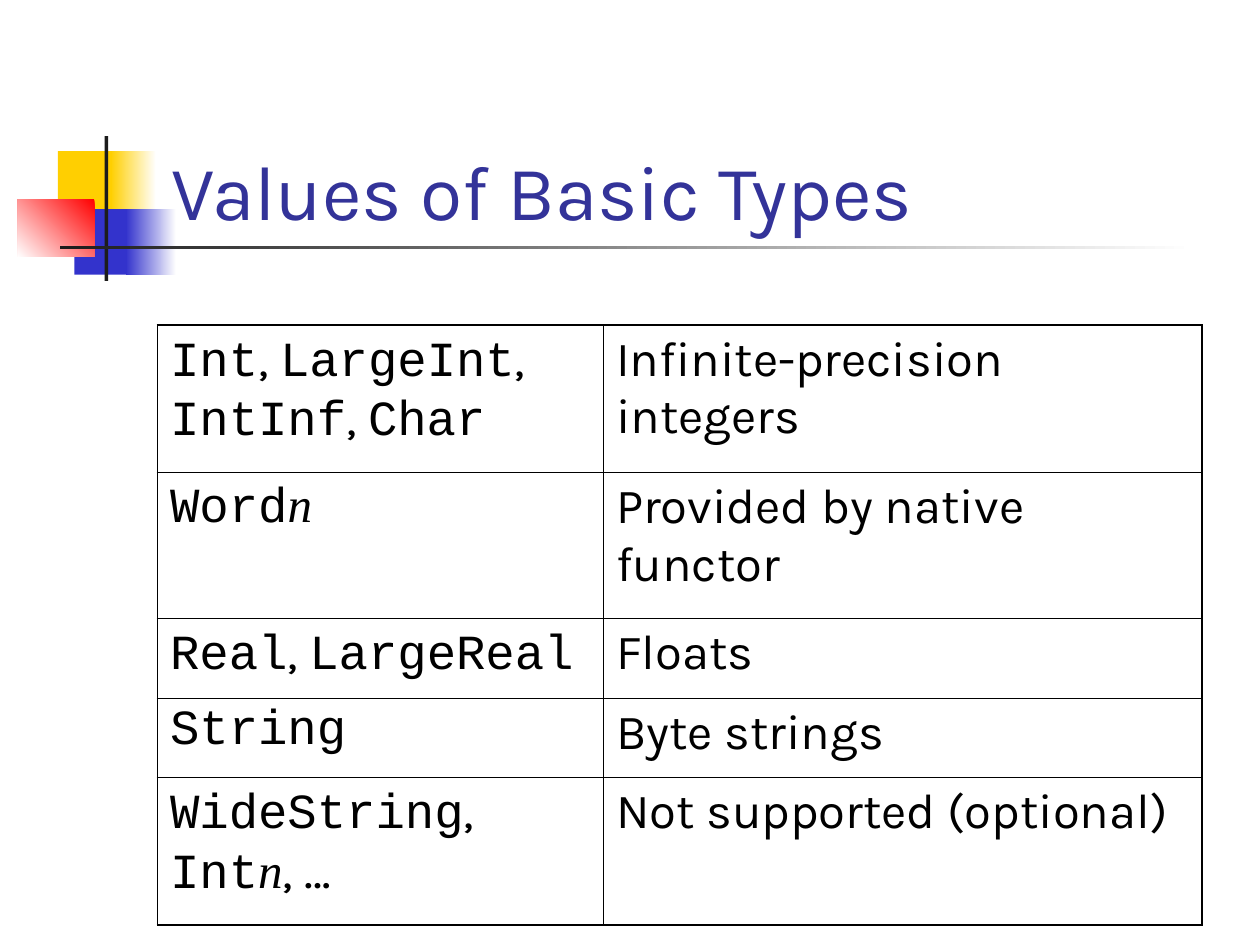
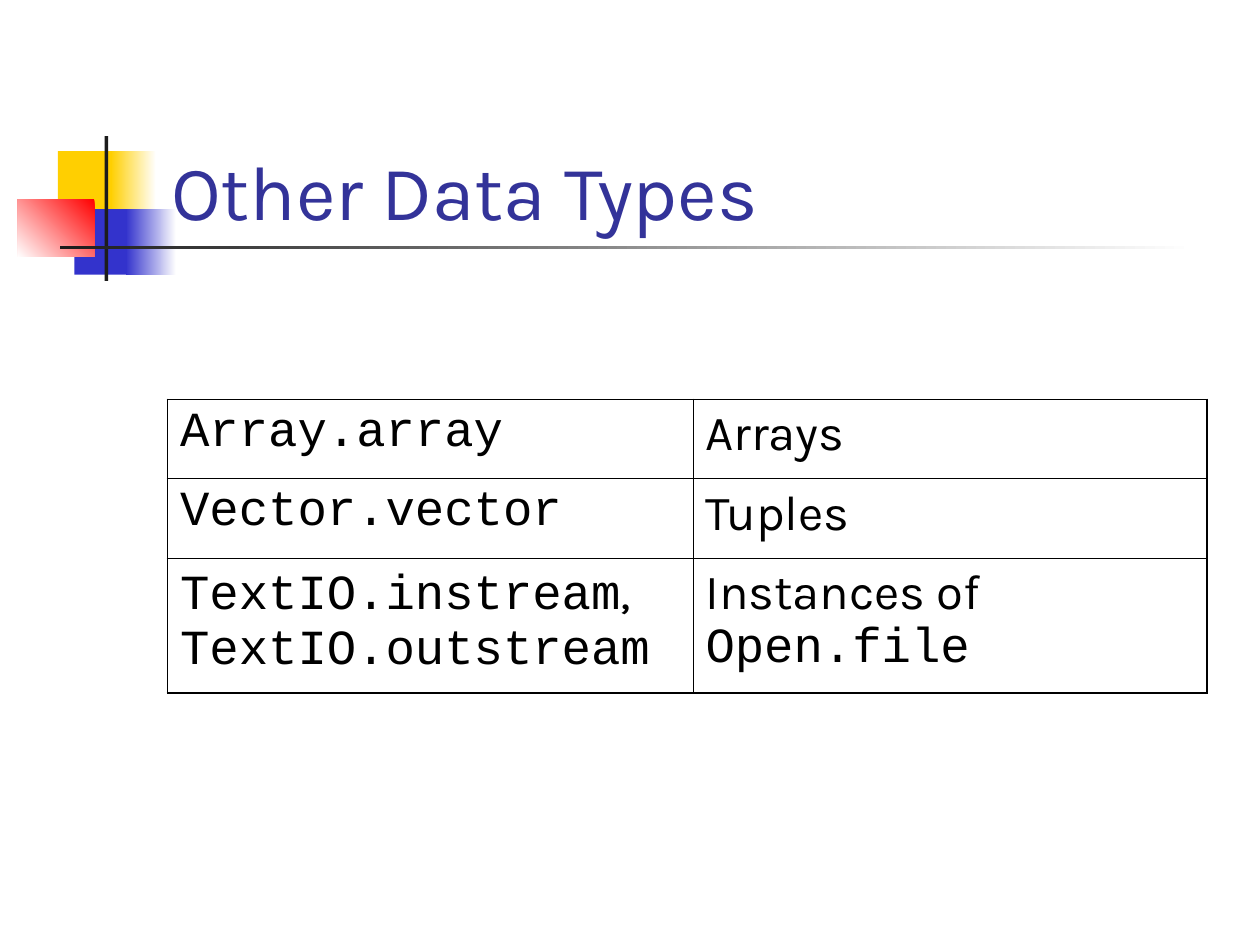
"""Build two slides about the representation of basic and other data types."""
from dataclasses import dataclass
from typing import NamedTuple

from lxml import etree
from pptx import Presentation
from pptx.dml.color import RGBColor
from pptx.enum.shapes import MSO_SHAPE
from pptx.enum.text import MSO_ANCHOR
from pptx.oxml.ns import qn
from pptx.util import Inches, Pt

RECTANGLE = MSO_SHAPE.RECTANGLE
BOTTOM = MSO_ANCHOR.BOTTOM

WHITE = "FFFFFF"
BLACK = "000000"
YELLOW = "FFCF01"
BLUE = "3333CC"
RED = "FF0000"
CHARCOAL = "1C1C1C"
TITLE_COLOUR = "333399"

BODY_FONT = "Karla"
CODE_FONT = "Courier New"
VARIABLE_FONT = "Times New Roman"
TITLE_SIZE = 44
CELL_SIZE = 28
OUTER_LINE = 1.08
INNER_LINE = 0.45


class Band(NamedTuple):
    """A rectangle of the title ornament, fading when end is given."""

    left: float
    top: float
    width: float
    height: float
    start: str
    end: str = ""
    angle: int = 180


class Piece(NamedTuple):
    """A stretch of text in one font."""

    text: str
    font: str = BODY_FONT
    italic: bool = False


@dataclass
class TypeSlide:
    """A title and a table of types with their representations."""

    title: str
    left: float
    top: float
    columns: list[float]
    heights: list[float]
    rows: list[tuple[list[Piece], list[Piece]]]


def code(text: str) -> Piece:
    """Return text set as program code."""
    return Piece(text, CODE_FONT)


COMMA = Piece(", ")
SIZE_VARIABLE = Piece("n", VARIABLE_FONT, True)

ORNAMENT = [
    Band(0.46, 1.2, 0.48, 0.52, YELLOW),
    Band(0.88, 1.2, 0.36, 0.52, WHITE, YELLOW),
    Band(0.59, 1.66, 0.46, 0.52, BLUE),
    Band(1, 1.66, 0.4, 0.52, WHITE, BLUE),
    Band(0.14, 1.58, 0.61, 0.46, RED, WHITE, 225),
    Band(0.83, 1.08, 0.03, 1.15, CHARCOAL),
    Band(0.48, 1.95, 9, 0.03, WHITE, CHARCOAL),
]

SLIDES = [
    TypeSlide(
        "Values of Basic Types", 1.25, 2.58,
        [3.54, 4.75], [1.17, 1.16, 0.63, 0.63, 1.17],
        [
            ([code("Int"), COMMA, code("LargeInt"), COMMA,
              code("IntInf"), COMMA, code("Char")],
             [Piece("Infinite-precision integers")]),
            ([code("Word"), SIZE_VARIABLE],
             [Piece("Provided by native functor")]),
            ([code("Real"), COMMA, code("LargeReal")], [Piece("Floats")]),
            ([code("String")], [Piece("Byte strings")]),
            ([code("WideString"), Piece(","), code(" Int"), SIZE_VARIABLE,
              Piece(", …")],
             [Piece("Not supported (optional)")]),
        ],
    ),
    TypeSlide(
        "Other Data Types", 1.33, 3.17,
        [4.17, 4.08], [0.63, 0.63, 1.07],
        [
            ([code("Array.array")], [Piece("Arrays")]),
            ([code("Vector.vector")], [Piece("Tuples")]),
            ([code("TextIO.instream"), Piece(","), code(" TextIO.outstream")],
             [Piece("Instances of "), code("Open.file")]),
        ],
    ),
]


def colour(value: str) -> RGBColor:
    """Turn a hex string into a colour."""
    return RGBColor.from_string(value)


def add_piece(paragraph, piece: Piece, size: float, ink: str) -> None:
    """Append one formatted run to a paragraph."""
    run = paragraph.add_run()
    run.text = piece.text
    run.font.name = piece.font
    run.font.size = Pt(size)
    run.font.italic = piece.italic
    run.font.color.rgb = colour(ink)


def draw_band(slide, band: Band) -> None:
    """Draw one rectangle of the ornament."""
    box = slide.shapes.add_shape(
        RECTANGLE, Inches(band.left), Inches(band.top),
        Inches(band.width), Inches(band.height))
    box.shadow.inherit = False
    box.line.fill.background()
    if not band.end:
        box.fill.solid()
        box.fill.fore_color.rgb = colour(band.start)
        return
    box.fill.gradient()
    box.fill.gradient_angle = band.angle
    for stop, shade in zip(box.fill.gradient_stops, (band.start, band.end)):
        stop.color.rgb = colour(shade)


def draw_title(slide, title: str) -> None:
    """Write the slide title above the fading rule."""
    frame = slide.shapes.add_textbox(
        Inches(1.26), Inches(0.67), Inches(8.52), Inches(1.25)).text_frame
    frame.word_wrap = True
    frame.vertical_anchor = BOTTOM
    add_piece(frame.paragraphs[0], Piece(title), TITLE_SIZE, TITLE_COLOUR)


def set_borders(cell, outer_sides: dict[str, bool]) -> None:
    """Line the four sides of a cell, heavier on the table's edge."""
    properties = cell._tc.get_or_add_tcPr()
    for position, (side, outer) in enumerate(outer_sides.items()):
        weight = OUTER_LINE if outer else INNER_LINE
        line = etree.Element(qn(f"a:ln{side}"), w=str(int(Pt(weight))))
        fill = etree.SubElement(line, qn("a:solidFill"))
        etree.SubElement(fill, qn("a:srgbClr"), val=BLACK)
        properties.insert(position, line)


def draw_table(slide, content: TypeSlide) -> None:
    """Draw the table of types."""
    last_row = len(content.rows) - 1
    last_column = len(content.columns) - 1
    table = slide.shapes.add_table(
        last_row + 1, last_column + 1,
        Inches(content.left), Inches(content.top),
        Inches(sum(content.columns)), Inches(sum(content.heights))).table
    table.first_row = False
    table.horz_banding = False
    for column, width in zip(table.columns, content.columns):
        column.width = Inches(width)
    for row, height in zip(table.rows, content.heights):
        row.height = Inches(height)
    for r, row_pieces in enumerate(content.rows):
        for c, pieces in enumerate(row_pieces):
            cell = table.cell(r, c)
            cell.fill.background()
            set_borders(cell, {"L": c == 0, "R": c == last_column,
                               "T": r == 0, "B": r == last_row})
            paragraph = cell.text_frame.paragraphs[0]
            paragraph.space_before = Pt(7)
            for piece in pieces:
                add_piece(paragraph, piece, CELL_SIZE, BLACK)


def main() -> None:
    """Build and save the presentation."""
    deck = Presentation()
    deck.slide_width = Inches(10)
    deck.slide_height = Inches(7.5)
    for content in SLIDES:
        slide = deck.slides.add_slide(deck.slide_layouts[6])
        for band in ORNAMENT:
            draw_band(slide, band)
        draw_title(slide, content.title)
        draw_table(slide, content)
    deck.save("out.pptx")


if __name__ == "__main__":
    main()
